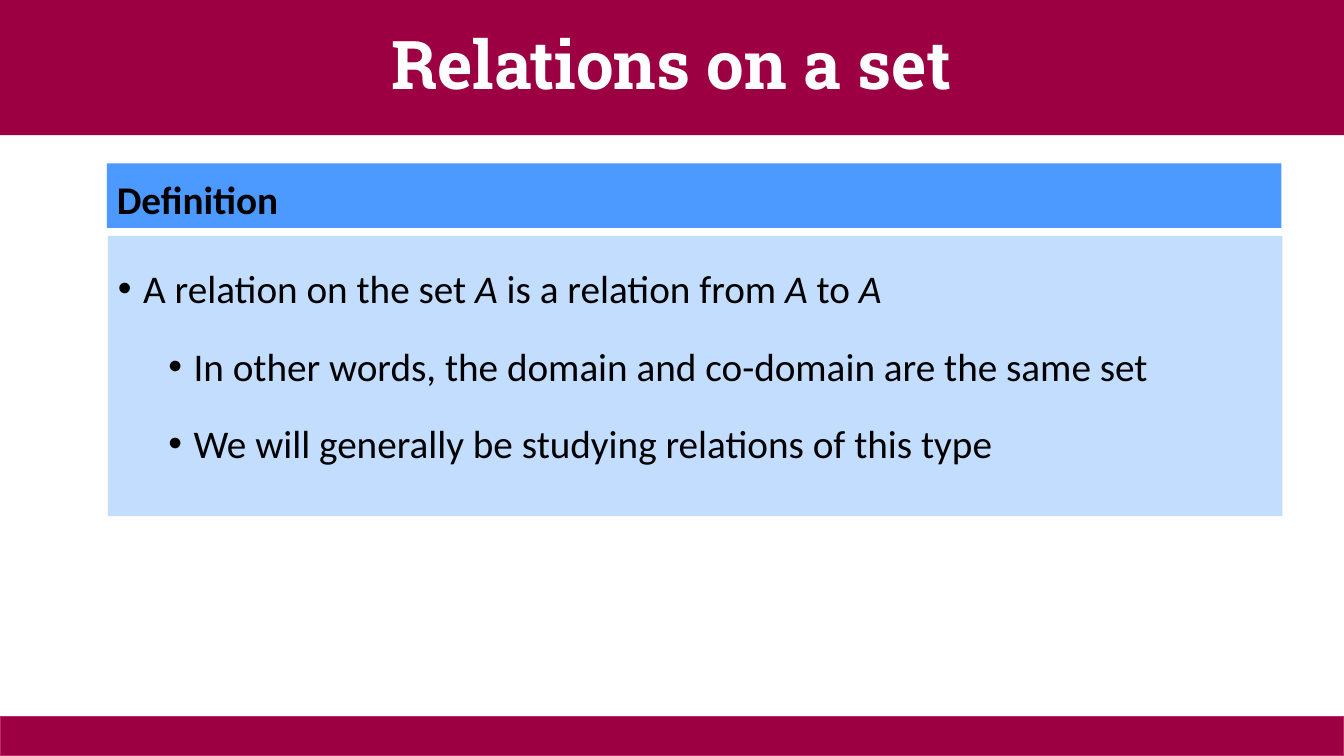
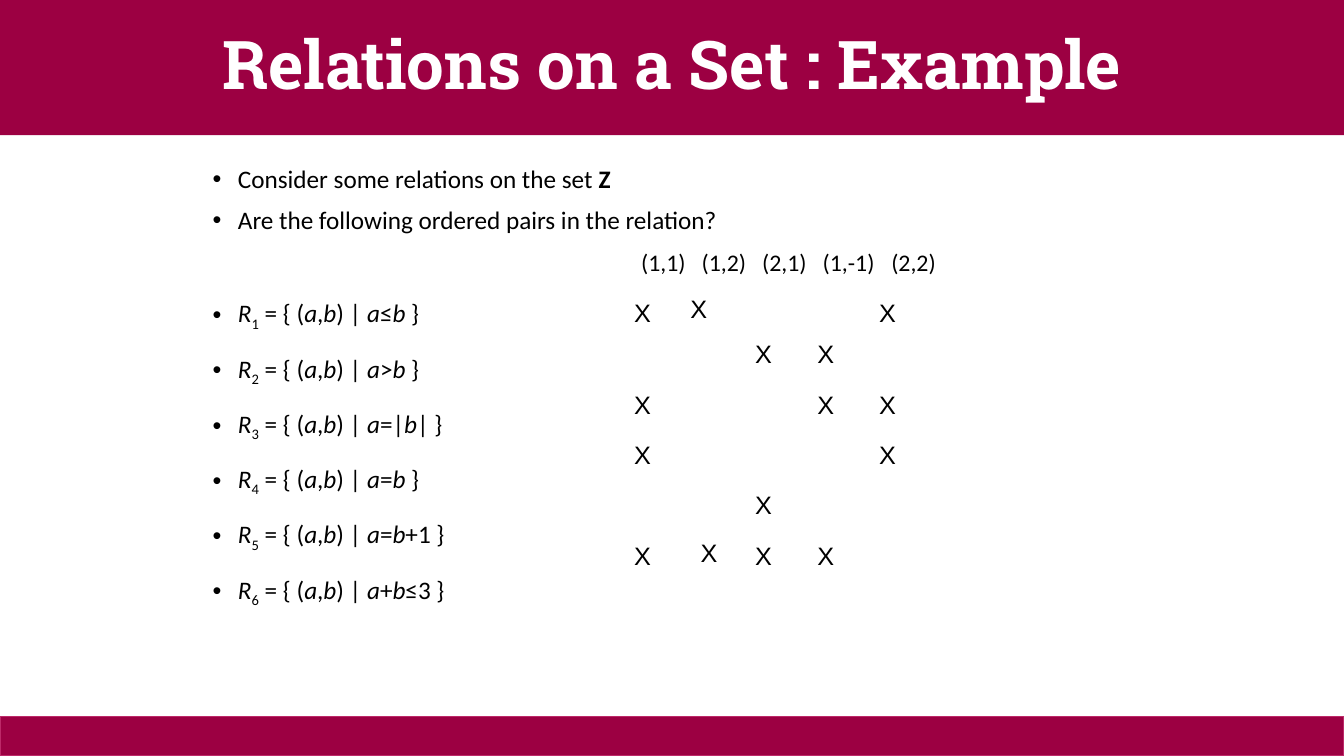
from dataclasses import dataclass
from itertools import groupby
from typing import Optional

from lxml.etree import SubElement
from pptx import Presentation
from pptx.dml.color import RGBColor
from pptx.enum.shapes import MSO_SHAPE
from pptx.enum.text import MSO_ANCHOR, MSO_AUTO_SIZE, PP_ALIGN
from pptx.oxml.ns import qn
from pptx.slide import Slide
from pptx.util import Inches, Pt


# Theme: colours, fonts and type sizes
@dataclass(frozen=True)
class Theme:
    band: str = "9C0042"
    edge: str = "BD2968"
    head: str = "4C99FF"
    panel: str = "C3DDFF"
    ink: str = "000000"
    light: str = "FFFFFF"
    slab: str = "Roboto Slab"
    sans: str = "Calibri"
    plain: str = "Arial"
    title: int = 48
    large: int = 28
    text: int = 18
    pair: int = 17


THEME = Theme()


@dataclass(frozen=True)
class Box:
    left: float
    top: float
    width: float
    height: float


@dataclass(frozen=True)
class Run:
    text: str
    bold: bool = False
    italic: bool = False
    sub: bool = False


@dataclass(frozen=True)
class Para:
    runs: list[Run]
    size: int
    lead: float
    before: int = 10
    level: int = 0
    bullet: bool = True


WIDE, HIGH = 13.33, 7.5
BAND = Box(0, 0, WIDE, 1.34)
FOOT = Box(0, 7.11, WIDE, 0.39)


# Drawing helpers
def place(shape, box: Box) -> None:
    shape.left, shape.top = Inches(box.left), Inches(box.top)
    shape.width, shape.height = Inches(box.width), Inches(box.height)


def paint(shape, color: str) -> None:
    shape.fill.solid()
    shape.fill.fore_color.rgb = RGBColor.from_string(color)


def add_run(para, run: Run, size: int, face: str, color: str) -> None:
    part = para.add_run()
    part.text = run.text
    font = part.font
    font.name, font.size = face, Pt(size)
    font.bold, font.italic = run.bold, run.italic
    font.color.rgb = RGBColor.from_string(color)
    if run.sub:
        part.font._element.set("baseline", "-25000")


def add_bar(slide: Slide, box: Box, color: str, edge: Optional[str] = None):
    bar = slide.shapes.add_shape(
        MSO_SHAPE.RECTANGLE, Inches(box.left), Inches(box.top),
        Inches(box.width), Inches(box.height))
    bar.shadow.inherit = False
    paint(bar, color)
    if edge:
        bar.line.color.rgb = RGBColor.from_string(edge)
        bar.line.width = Pt(1)
    else:
        bar.line.fill.background()
    return bar


def write(frame, paras: list[Para]) -> None:
    frame.word_wrap = True
    frame.auto_size = MSO_AUTO_SIZE.NONE
    frame.vertical_anchor = MSO_ANCHOR.TOP
    for i, item in enumerate(paras):
        para = frame.add_paragraph() if i else frame.paragraphs[0]
        para.alignment = PP_ALIGN.LEFT
        para.level = item.level
        para.line_spacing = item.lead
        para.space_before = Pt(item.before)
        props = para._p.get_or_add_pPr()
        left = 0.25 + 0.5 * item.level if item.bullet else 0
        props.set("marL", str(Inches(left)))
        props.set("indent", str(Inches(-0.25 if item.bullet else 0)))
        if item.bullet:
            SubElement(props, qn("a:buFont"), typeface="Arial")
            SubElement(props, qn("a:buChar"), char="•")
        else:
            SubElement(props, qn("a:buNone"))
        for run in item.runs:
            add_run(para, run, item.size, THEME.sans, THEME.ink)


def add_page(deck, name: str) -> Slide:
    slide = deck.slides.add_slide(deck.slide_layouts[1])
    title = slide.shapes.title
    place(title, BAND)
    paint(title, THEME.band)
    frame = title.text_frame
    frame.auto_size = MSO_AUTO_SIZE.NONE
    frame.vertical_anchor = MSO_ANCHOR.MIDDLE
    para = frame.paragraphs[0]
    para.alignment = PP_ALIGN.CENTER
    para.line_spacing = 0.9
    add_run(para, Run(name, bold=True), THEME.title, THEME.slab, THEME.light)
    add_bar(slide, FOOT, THEME.band, THEME.edge)
    return slide


def add_pair(slide: Slide, text: str, left: float, top: float) -> None:
    label = slide.shapes.add_textbox(
        Inches(left), Inches(top), Inches(0.6), Inches(0.3))
    frame = label.text_frame
    frame.margin_left = frame.margin_right = 0
    frame.margin_top = frame.margin_bottom = 0
    write(frame, [Para([Run(text)], THEME.pair, 1.0, before=0, bullet=False)])


def add_mark(slide: Slide, left: float, top: float) -> None:
    mark = slide.shapes.add_textbox(
        Inches(left), Inches(top), Inches(0.37), Inches(0.4))
    frame = mark.text_frame
    frame.word_wrap = False
    frame.auto_size = MSO_AUTO_SIZE.SHAPE_TO_FIT_TEXT
    add_run(frame.paragraphs[0], Run("X"), THEME.text, THEME.plain, THEME.ink)


def math_runs(text: str) -> list[Run]:
    """Set letters in italics and all else upright."""
    return [Run("".join(part), italic=slant)
            for slant, part in groupby(text, str.isalpha)]


deck = Presentation()
deck.slide_width, deck.slide_height = Inches(WIDE), Inches(HIGH)

# Slide 1: definition
slide = add_page(deck, "Relations on a set")
head = add_bar(slide, Box(1.06, 1.62, 11.65, 0.64), THEME.head)
write(head.text_frame, [
    Para([Run("Definition", bold=True)], THEME.large, 1.14, bullet=False)])

body = slide.placeholders[1]
place(body, Box(1.07, 2.34, 11.65, 2.78))
paint(body, THEME.panel)
SET = Run("A", italic=True)
notes = ["In other words, the domain and co-domain are the same set",
         "We will generally be studying relations of this type"]
write(body.text_frame, [
    Para([Run("A relation on the set "), SET, Run(" is a relation from "),
          SET, Run(" to "), SET], THEME.large, 1.5),
    *(Para([Run(note)], THEME.large, 1.5, before=5, level=1)
      for note in notes)])

# Slide 2: relations, with room above the first for the pairs
slide = add_page(deck, "Relations on a Set : Example")
RULES = ["a≤b", "a>b", "a=|b|", "a=b", "a=b+1", "a+b≤3"]
body = slide.placeholders[1]
place(body, Box(2.01, 1.6, 9.86, 5.14))
write(body.text_frame, [
    Para([Run("Consider some relations on the set "), Run("Z", bold=True)],
         THEME.text, 0.9),
    Para([Run("Are the following ordered pairs in the relation?")],
         THEME.text, 0.9),
    *(Para([Run("R", italic=True), Run(str(n), sub=True),
            *math_runs(f" = {{ (a,b) | {rule} }}")], THEME.text, 1.2,
           before=40 if n == 1 else 10)
      for n, rule in enumerate(RULES, 1))])

# Pair headings over the mark columns
PAIRS = {"(1,1)": 6.36, "(1,2)": 6.96, "(2,1)": 7.56,
         "(1,-1)": 8.16, "(2,2)": 8.84}
for pair, left in PAIRS.items():
    add_pair(slide, pair, left, 2.46)

# Marks: one string per relation, one place per pair
GRID = ["XX..X", "..XX.", "X..XX", "X...X", "..X..", "XXXX."]
COLS = [6.19, 6.8, 7.39, 8.01, 8.62]
ROWS = [2.9, *(3.31 + 0.5 * i for i in range(5))]
NUDGE = {(0, 1): (-0.05, -0.04), (5, 1): (0.05, -0.03)}
for r, line in enumerate(GRID):
    for c, sign in enumerate(line):
        if sign == "X":
            dx, dy = NUDGE.get((r, c), (0, 0))
            add_mark(slide, COLS[c] + dx, ROWS[r] + dy)

deck.save("out.pptx")
